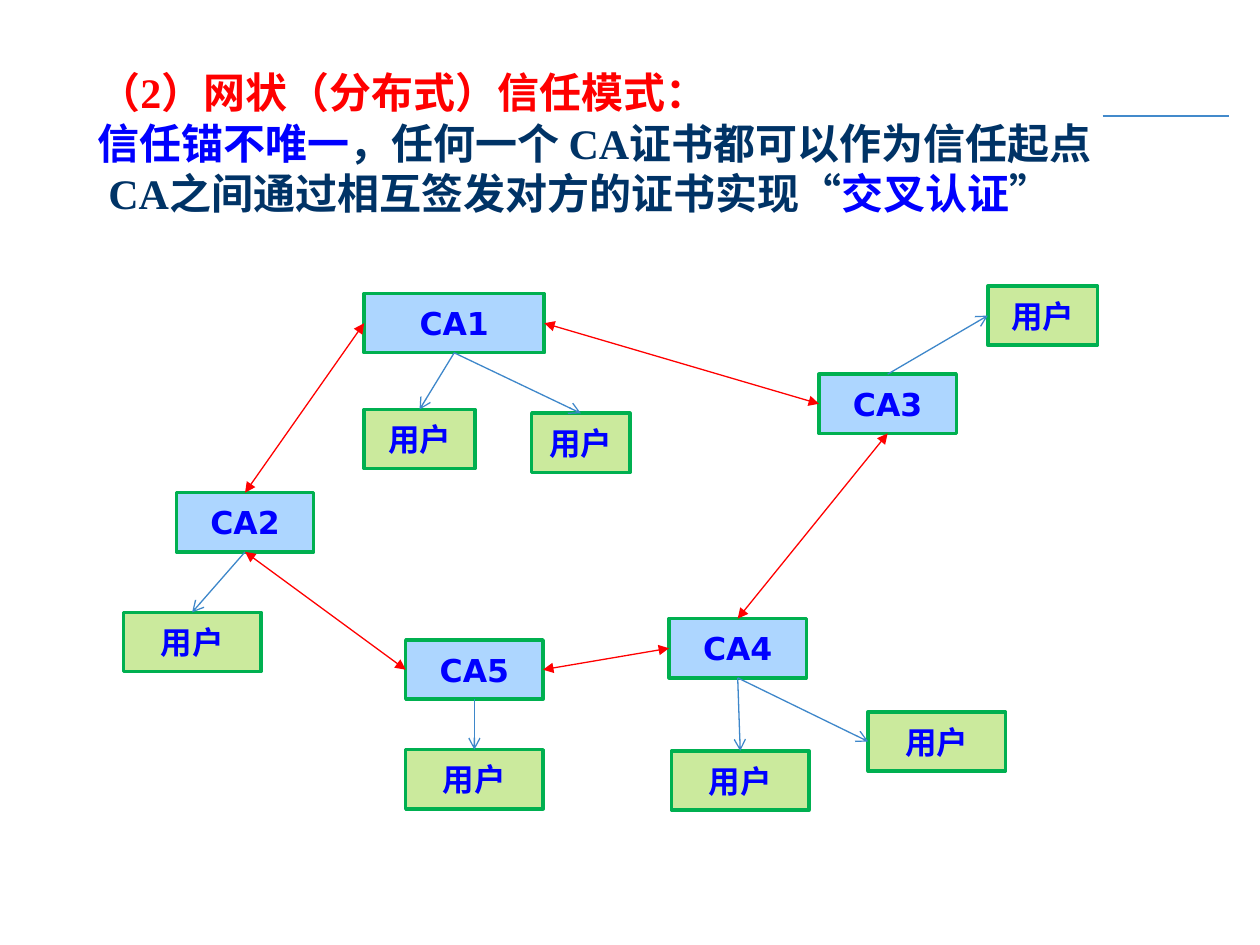
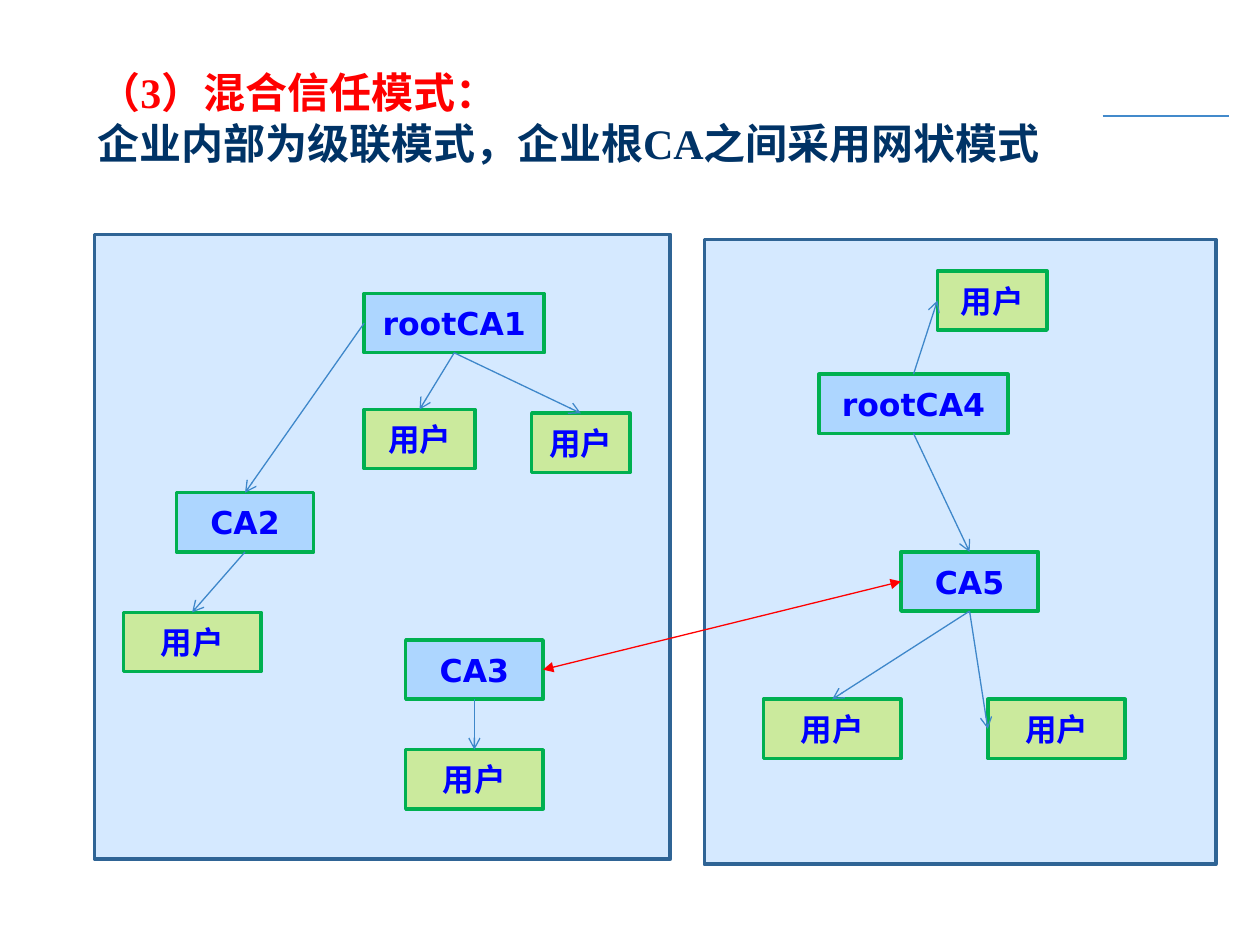
import pptx
import pptx.dml.color
import pptx.enum.shapes
import pptx.enum.text
import pptx.oxml
import pptx.oxml.ns
import pptx.util

COLUMNS, ROWS = 100, 75
NAVY, RED, BLUE = "003366", "FF0000", "0000FF"
CA_FILL, USER_FILL, PANEL_FILL = "ADD6FF", "CBEA9D", "D5E9FF"
NODE_EDGE, PANEL_EDGE, ISSUE_LINE, RULE_LINE = "00B050", "2F6495", "3E87CA", "438ACB"
TOP, LEFT, BOTTOM, RIGHT = range(4)
USER = "用户"


def color(code):
    return pptx.dml.color.RGBColor.from_string(code)


def apply(target, values):
    for name, value in values.items():
        setattr(target, name, value)


class Deck:
    heading_font = {"name": "Times New Roman", "size": pptx.util.Pt(24), "bold": True}
    node_font = {"name": "DejaVu Sans", "size": pptx.util.Pt(18), "bold": True}
    heading_frame = {
        "word_wrap": True,
        "auto_size": pptx.enum.text.MSO_AUTO_SIZE.NONE,
        "vertical_anchor": pptx.enum.text.MSO_ANCHOR.TOP,
        "margin_top": pptx.util.Inches(0.09),
    }
    node_frame = {"word_wrap": True, "vertical_anchor": pptx.enum.text.MSO_ANCHOR.MIDDLE}

    def __init__(self):
        self.show = pptx.Presentation()
        self.show.slide_width = pptx.util.Inches(10)
        self.show.slide_height = pptx.util.Inches(7.5)
        self.slide = None

    def x(self, columns):
        return round(self.show.slide_width * columns / COLUMNS)

    def y(self, rows):
        return round(self.show.slide_height * rows / ROWS)

    def area(self, left, top, width, height):
        return self.x(left), self.y(top), self.x(width), self.y(height)

    def add_text(self, paragraph, text, font, code):
        run = paragraph.add_run()
        run.text = text
        apply(run.font, font)
        run.font.color.rgb = color(code)

    def new_slide(self, height, lines):
        self.slide = self.show.slides.add_slide(self.show.slide_layouts[5])
        if len(self.show.slides) == 1:
            self.master_rule()
        heading = self.slide.shapes.title
        places = self.area(5.9, 4.4, 88.3, height)
        apply(heading, dict(zip(("left", "top", "width", "height"), places)))
        frame = heading.text_frame
        apply(frame, self.heading_frame)
        for index, (indent, runs) in enumerate(lines):
            paragraph = frame.add_paragraph() if index else frame.paragraphs[0]
            paragraph.alignment = pptx.enum.text.PP_ALIGN.LEFT
            properties = paragraph._p.get_or_add_pPr()
            properties.set("marL", str(self.x(indent)))
            properties.set("indent", "0")
            for text, code in runs:
                self.add_text(paragraph, text, self.heading_font, code)

    def master_rule(self):
        rule = self.line(RULE_LINE)
        apply(rule, {"begin_x": self.x(87.5), "begin_y": self.y(9.2),
                     "end_x": self.x(97.5), "end_y": self.y(9.2)})
        self.show.slide_master.shapes.element.append(rule.element)

    def box(self, place, fill, edge):
        box = self.slide.shapes.add_shape(
            pptx.enum.shapes.MSO_SHAPE.RECTANGLE, *self.area(*place))
        box.shadow.inherit = False
        box.fill.solid()
        box.fill.fore_color.rgb = color(fill)
        box.line.color.rgb = color(edge)
        box.line.width = pptx.util.Pt(2)
        return box

    def panel(self, *place):
        return self.box(place, PANEL_FILL, PANEL_EDGE)

    def node(self, text, left, top, width=10.9, height=4.7):
        fill = USER_FILL if text == USER else CA_FILL
        node = self.box((left, top, width, height), fill, NODE_EDGE)
        apply(node.text_frame, self.node_frame)
        paragraph = node.text_frame.paragraphs[0]
        paragraph.alignment = pptx.enum.text.PP_ALIGN.CENTER
        self.add_text(paragraph, text, self.node_font, BLUE)
        return node

    def line(self, code, **ends):
        line = self.slide.shapes.add_connector(
            pptx.enum.shapes.MSO_CONNECTOR.STRAIGHT, 0, 0, 0, 0)
        line.line.color.rgb = color(code)
        line.line.width = pptx.util.Pt(0.75)
        for end, kind in ends.items():
            line.line._get_or_add_ln().append(pptx.oxml.parse_xml(
                f'<a:{end} {pptx.oxml.ns.nsdecls("a")} type="{kind}"/>'))
        line.element.spPr.append(pptx.oxml.parse_xml(
            f'<a:effectLst {pptx.oxml.ns.nsdecls("a")}/>'))
        return line

    def issue(self, issuer, start, holder, end):
        arrow = self.line(ISSUE_LINE, tailEnd="arrow")
        arrow.begin_connect(issuer, start)
        arrow.end_connect(holder, end)

    def cross_certify(self, first, start, second, end):
        arrow = self.line(RED, headEnd="triangle", tailEnd="triangle")
        arrow.begin_connect(first, start)
        arrow.end_connect(second, end)

    def left_branch(self, top_name, bottom_name):
        top_ca = self.node(top_name, 28.9, 23.3, 14.3)
        middle_ca = self.node("CA2", 14, 39.1)
        bottom_ca = self.node(bottom_name, 32.2, 50.8)
        holders = (
            (top_ca, (28.9, 32.5, 8.8)),
            (top_ca, (42.2, 32.8, 7.8)),
            (middle_ca, (9.8, 48.6)),
            (bottom_ca, (32.2, 59.5)),
        )
        for issuer, place in holders:
            self.issue(issuer, BOTTOM, self.node(USER, *place), TOP)
        return top_ca, middle_ca, bottom_ca


def mesh_slide(deck):
    deck.new_slide(13.7, (
        (0.9, (("（2）网状（分布式）信任模式：", RED),)),
        (0.8, (("信任锚不唯一", BLUE), ("，任何一个 CA证书都可以作为信任起点", NAVY))),
        (1.7, (("CA之间通过相互签发对方的证书实现“", NAVY), ("交叉认证", BLUE), ("”", NAVY))),
    ))
    ca1, ca2, ca5 = deck.left_branch("CA1", "CA5")
    ca3 = deck.node("CA3", 65, 29.7)
    ca4 = deck.node("CA4", 53.1, 49.1)
    deck.issue(ca3, TOP, deck.node(USER, 78.4, 22.7, 8.7), LEFT)
    deck.issue(ca4, BOTTOM, deck.node(USER, 53.3, 59.6), TOP)
    deck.issue(ca4, BOTTOM, deck.node(USER, 68.9, 56.5), LEFT)
    for link in (
        (ca1, RIGHT, ca3, LEFT),
        (ca4, TOP, ca3, BOTTOM),
        (ca5, RIGHT, ca4, LEFT),
        (ca2, BOTTOM, ca5, LEFT),
        (ca2, TOP, ca1, LEFT),
    ):
        deck.cross_certify(*link)


def hybrid_slide(deck):
    deck.new_slide(9.7, (
        (0.9, (("（3）混合信任模式：", RED),)),
        (0.8, (("企业内部为级联模式，企业根CA之间采用网状模式", NAVY),)),
    ))
    deck.panel(55.9, 19, 40.6, 49.6)
    deck.panel(7.5, 18.6, 45.7, 49.6)
    root_ca1, ca2, ca3 = deck.left_branch("rootCA1", "CA3")
    root_ca4 = deck.node("rootCA4", 65, 29.7, 15)
    ca5 = deck.node("CA5", 71.5, 43.8)
    deck.issue(root_ca4, TOP, deck.node(USER, 74.4, 21.5, 8.7), LEFT)
    deck.issue(ca5, BOTTOM, deck.node(USER, 60.6, 55.5), TOP)
    deck.issue(ca5, BOTTOM, deck.node(USER, 78.4, 55.5), LEFT)
    deck.issue(root_ca1, LEFT, ca2, TOP)
    deck.issue(root_ca4, BOTTOM, ca5, TOP)
    deck.cross_certify(ca3, RIGHT, ca5, LEFT)


def main():
    deck = Deck()
    mesh_slide(deck)
    hybrid_slide(deck)
    deck.show.save("out.pptx")


if __name__ == "__main__":
    main()
